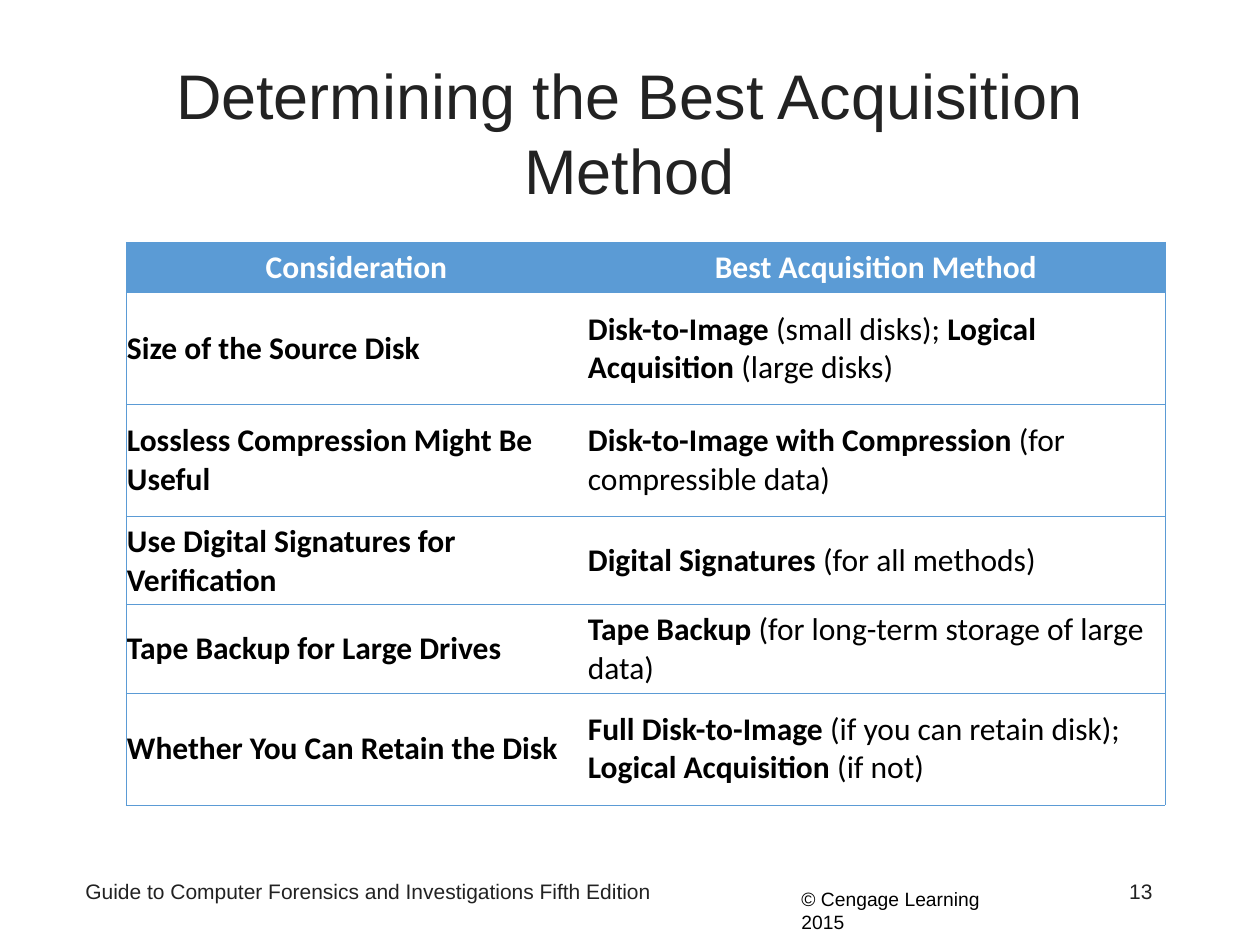
from dataclasses import dataclass

from lxml.etree import SubElement
from pptx import Presentation
from pptx.dml.color import RGBColor
from pptx.enum.text import MSO_ANCHOR, MSO_AUTO_SIZE, PP_ALIGN
from pptx.oxml.ns import qn
from pptx.util import Pt

PX = 914400 // 126
NO_GRID_STYLE = "{2D5ABB26-0587-4C30-8999-92F81FD0307C}"


def px(n):
    return n * PX


@dataclass(frozen=True)
class Theme:
    heading_font: str = "Arial"
    table_font: str = "Calibri"
    ink: str = "222222"
    black: str = "000000"
    white: str = "FFFFFF"
    accent: str = "5B9BD5"
    title: int = 36
    table: int = 18
    footer: int = 12
    copyright: int = 11
    border: float = 0.23


class SlideBuilder:
    def __init__(self, prs, theme):
        self.theme = theme
        self.s = prs.slides.add_slide(prs.slide_layouts[5])

    def run(self, p, text, size, color, font, bold=False):
        r = p.add_run()
        r.text = text
        r.font.name = font
        r.font.size = Pt(size)
        r.font.bold = bold
        r.font.color.rgb = RGBColor.from_string(color)

    def title(self, text, x, y, w, h):
        sp = self.s.shapes.title
        sp.left, sp.top, sp.width, sp.height = map(px, (x, y, w, h))
        tf = sp.text_frame
        tf.auto_size = MSO_AUTO_SIZE.NONE
        tf.vertical_anchor = MSO_ANCHOR.MIDDLE
        p = tf.paragraphs[0]
        p.alignment = PP_ALIGN.CENTER
        t = self.theme
        self.run(p, text, t.title, t.ink, t.heading_font)

    def text(self, text, x, y, w, h, size, color, align=PP_ALIGN.LEFT, wrap=True):
        sp = self.s.shapes.add_textbox(*map(px, (x, y, w, h)))
        tf = sp.text_frame
        tf.word_wrap = wrap
        if not wrap:
            tf.auto_size = MSO_AUTO_SIZE.SHAPE_TO_FIT_TEXT
        p = tf.paragraphs[0]
        p.alignment = align
        self.run(p, text, size, color, self.theme.heading_font)

    def borders(self, cell, sides):
        tc_pr = cell._tc.get_or_add_tcPr()
        for side in sides:
            ln = SubElement(tc_pr, qn(f"a:ln{side}"), w=str(Pt(self.theme.border)))
            fill = SubElement(ln, qn("a:solidFill"))
            SubElement(fill, qn("a:srgbClr"), val=self.theme.accent)

    def cell(self, cell, runs, header, sides):
        t = self.theme
        cell.margin_left = cell.margin_right = px(1)
        cell.vertical_anchor = MSO_ANCHOR.MIDDLE
        self.borders(cell, sides)
        if header:
            cell.fill.solid()
            cell.fill.fore_color.rgb = RGBColor.from_string(t.accent)
        else:
            cell.fill.background()
        p = cell.text_frame.paragraphs[0]
        p.alignment = PP_ALIGN.CENTER if header else PP_ALIGN.LEFT
        color = t.white if header else t.black
        # Runs alternate between bold and regular
        for i, text in enumerate(runs):
            self.run(p, text, t.table, color, t.table_font, bold=i % 2 == 0)

    def table(self, rows, x, y, widths, heights):
        frame = self.s.shapes.add_table(
            len(rows), len(widths), px(x), px(y), px(sum(widths)), px(sum(heights)))
        tbl = frame.table
        tbl.horz_banding = False
        tbl._tbl.tblPr.find(qn("a:tableStyleId")).text = NO_GRID_STYLE
        for col, w in zip(tbl.columns, widths):
            col.width = px(w)
        for i, (row, h) in enumerate(zip(rows, heights)):
            tbl.rows[i].height = px(h)
            for j, (runs, sides) in enumerate(zip(row, ("LTB", "RTB"))):
                self.cell(tbl.cell(i, j), runs, i == 0, sides)


METHODS = [
    (["Consideration"], ["Best Acquisition Method"]),
    (["Size of the Source Disk"],
     ["Disk-to-Image", " (small disks); ", "Logical Acquisition", " (large disks)"]),
    (["Lossless Compression Might Be Useful"],
     ["Disk-to-Image with Compression", " (for compressible data)"]),
    (["Use Digital Signatures for Verification"],
     ["Digital Signatures", " (for all methods)"]),
    (["Tape Backup for Large Drives"],
     ["Tape Backup", " (for long-term storage of large data)"]),
    (["Whether You Can Retain the Disk"],
     ["Full Disk-to-Image", " (if you can retain disk); ",
      "Logical Acquisition", " (if not)"]),
]


def main():
    prs = Presentation()
    prs.slide_width, prs.slide_height = px(1260), px(945)
    t = Theme()
    b = SlideBuilder(prs, t)

    # Footer
    b.text("© Cengage Learning  2015", 789, 881, 257, 37, t.copyright, t.black, wrap=False)
    b.text("Guide to Computer Forensics and Investigations Fifth Edition",
           73, 872, 693, 53, t.footer, t.ink)
    b.text("13", 1092, 872, 73, 53, t.footer, t.ink, PP_ALIGN.RIGHT)

    # Title
    b.title("Determining the Best Acquisition Method", 73, 53, 1113, 158)

    # Acquisition methods
    b.table(METHODS, 126, 242, [461, 578], [39, 112, 112, 77, 77, 112])

    prs.save("out.pptx")


if __name__ == "__main__":
    main()
